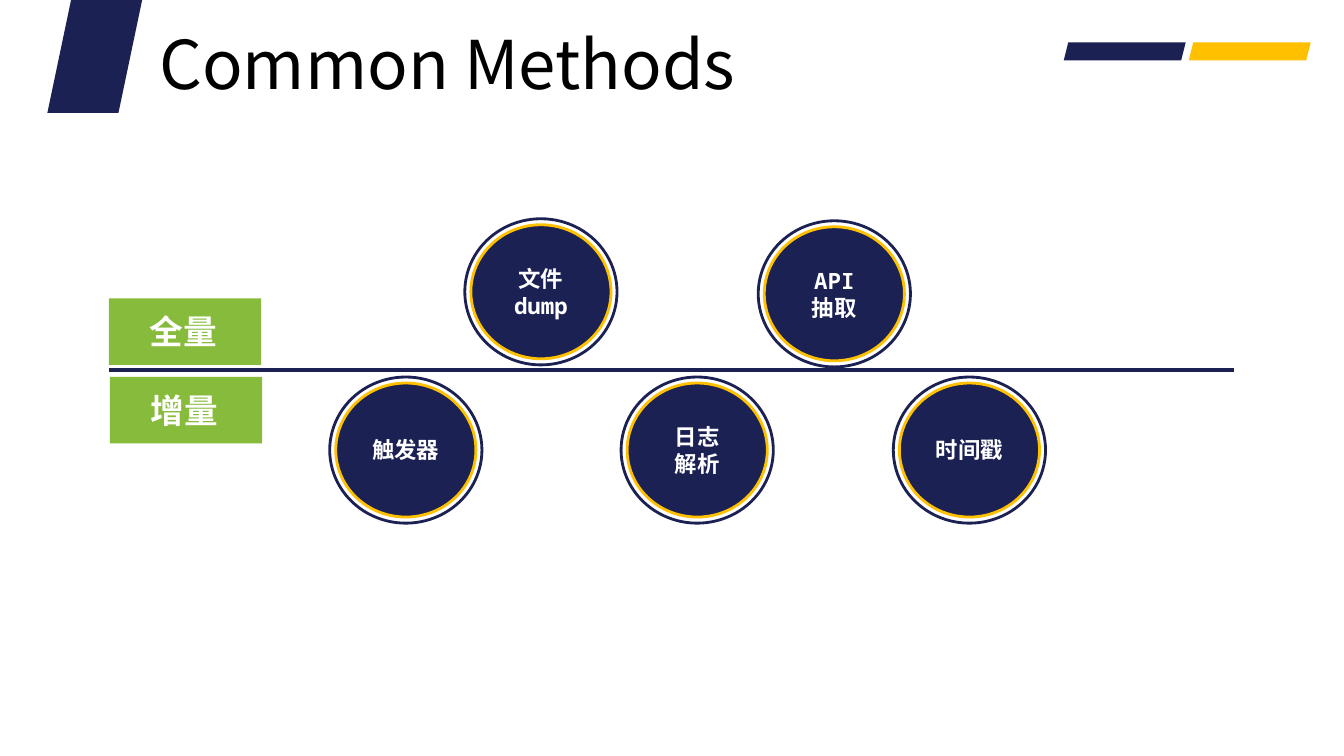
from lxml.etree import SubElement
from pptx import Presentation
from pptx.dml.color import RGBColor
from pptx.enum.shapes import MSO_CONNECTOR, MSO_SHAPE
from pptx.enum.text import MSO_ANCHOR, MSO_AUTO_SIZE, PP_ALIGN
from pptx.oxml.ns import qn
from pptx.util import Pt

EMU_PER_PX = 9144  # 100 px to the inch
NAVY = RGBColor(0x1B, 0x21, 0x53)
GOLD = RGBColor(0xFF, 0xC0, 0x00)
GREEN = RGBColor(0x87, 0xBB, 0x3B)
BLACK = RGBColor(0x00, 0x00, 0x00)
WHITE = RGBColor(0xFF, 0xFF, 0xFF)
SANS = "Noto Sans CJK SC"
MONO = "Noto Sans Mono"


def px(*lengths):
    return [length * EMU_PER_PX for length in lengths]


def write_text(frame, text, size, color, font=SANS, bold=False,
               align=PP_ALIGN.CENTER, anchor=MSO_ANCHOR.TOP):
    """Fill the frame with one paragraph per line of text."""
    frame.vertical_anchor = anchor
    for index, line in enumerate(text.split("\n")):
        para = frame.add_paragraph() if index else frame.paragraphs[0]
        para.alignment = align
        span = para.add_run()
        span.text = line
        span.font.size = Pt(size)
        span.font.bold = bold
        span.font.color.rgb = color
        span.font.name = font
        SubElement(span.font._element, qn("a:ea"), typeface=SANS)


class MethodsSlide:
    def __init__(self, deck):
        self.page = deck.slides.add_slide(deck.slide_layouts[5])
        self.shapes = self.page.shapes

    def title(self, text, left, top, width, height):
        box = self.shapes.title
        box.left, box.top, box.width, box.height = px(left, top, width, height)
        frame = box.text_frame
        frame.word_wrap = True
        frame.auto_size = MSO_AUTO_SIZE.SHAPE_TO_FIT_TEXT
        frame.margin_left, frame.margin_right = px(13, 13)
        frame.margin_top, frame.margin_bottom = px(7, 7)
        write_text(frame, text, 48, BLACK, align=PP_ALIGN.LEFT)

    def shape(self, kind, left, top, width, height, fill=None, line=None, parent=None):
        shapes = parent.shapes if parent else self.shapes
        shape = shapes.add_shape(kind, *px(left, top, width, height))
        shape.shadow.inherit = False
        if fill is None:
            shape.fill.background()
        else:
            shape.fill.solid()
            shape.fill.fore_color.rgb = fill
        if line is None:
            shape.line.fill.background()
        else:
            shape.line.color.rgb = line
            shape.line.width = Pt(2)
        return shape

    def ringed_circle(self, text, left, top):
        """Draw a filled disc with its label inside a wider ring."""
        group = self.shapes.add_group_shape()
        disc = self.shape(MSO_SHAPE.OVAL, left + 6, top + 6, 139, 133, NAVY, GOLD, group)
        disc.text_frame.word_wrap = True
        write_text(disc.text_frame, text, 16, WHITE, font=MONO, bold=True,
                   anchor=MSO_ANCHOR.MIDDLE)
        self.shape(MSO_SHAPE.OVAL, left, top, 151, 145, line=NAVY, parent=group)

    def axis(self, left, right, y):
        line = self.shapes.add_connector(MSO_CONNECTOR.STRAIGHT, *px(left, y, right, y))
        line.line.color.rgb = NAVY
        line.line.width = Pt(2.5)
        SubElement(line._element.spPr, qn("a:effectLst"))

    def tag(self, text, left, top):
        self.shape(MSO_SHAPE.RECTANGLE, left, top, 151, 66, GREEN)
        box = self.shapes.add_textbox(*px(left + 30, top + 8, 88, 50))
        box.text_frame.word_wrap = False
        box.text_frame.auto_size = MSO_AUTO_SIZE.SHAPE_TO_FIT_TEXT
        write_text(box.text_frame, text, 24, WHITE, bold=True)


def main():
    deck = Presentation()
    deck.slide_width, deck.slide_height = px(1333, 750)
    slide = MethodsSlide(deck)

    slide.title("Common Methods", 145, 15, 719, 94)
    for left, top, width, height, color in [
        (1179, 42, 121, 18, GOLD),
        (1055, 42, 121, 18, NAVY),
        (47, 0, 94, 112, NAVY),
    ]:
        slide.shape(MSO_SHAPE.PARALLELOGRAM, left, top, width, height, color)

    for text, left, top in [
        ("触发器", 327, 374),
        ("日志\n解析", 616, 374),
        ("时间戳", 886, 374),
        ("API\n抽取", 752, 219),
        ("文件dump", 461, 217),
    ]:
        slide.ringed_circle(text, left, top)

    slide.axis(108, 1224, 367)
    slide.tag("全量", 108, 296)
    slide.tag("增量", 109, 374)
    deck.save("out.pptx")


if __name__ == "__main__":
    main()
